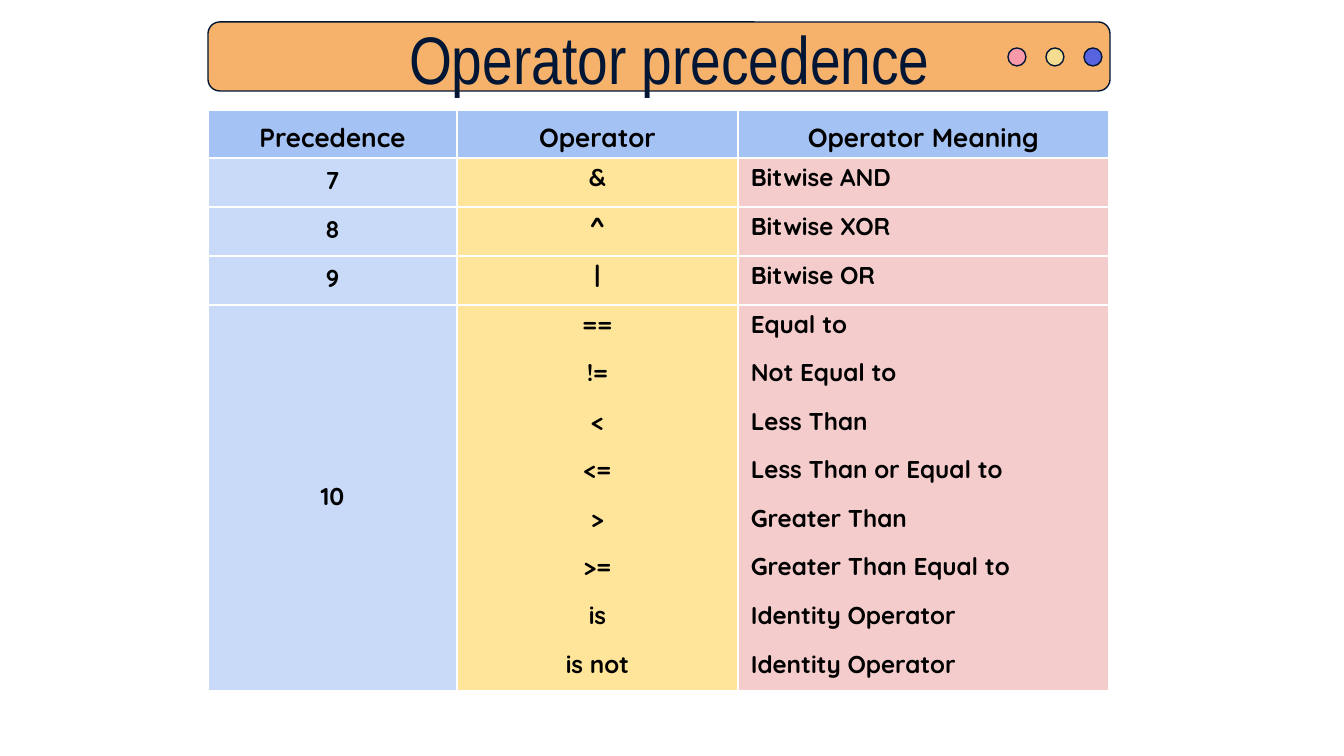
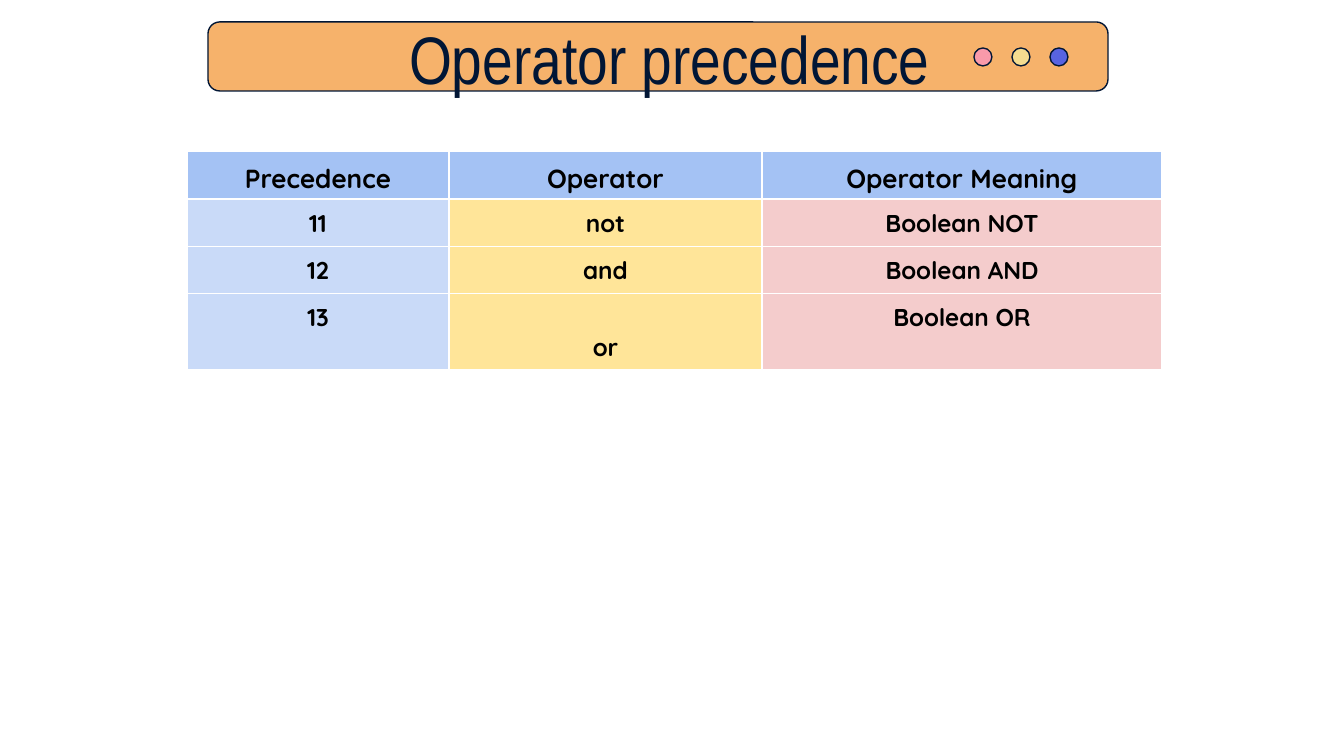
from lxml import etree
from pptx import Presentation
from pptx import util as u
from pptx.dml.color import RGBColor
from pptx.enum import shapes, text
from pptx.oxml import ns

SCALE = u.Inches(10) / 1344
NAVY = RGBColor(0x01, 0x16, 0x35)
BLACK = RGBColor(0x00, 0x00, 0x00)
WHITE = RGBColor(0xFF, 0xFF, 0xFF)
ORANGE = RGBColor(0xF6, 0xB2, 0x6B)
DOTS = (RGBColor(0xF9, 0x9A, 0xAA), RGBColor(0xF4, 0xDC, 0x90),
        RGBColor(0x58, 0x63, 0xE0))
HEAD = RGBColor(0xA4, 0xC2, 0xF4)
COLUMNS = (RGBColor(0xC9, 0xDA, 0xF8), RGBColor(0xFF, 0xE5, 0x99),
           RGBColor(0xF4, 0xCC, 0xCC))

TITLE = "Operator precedence"
LABELS = ("Precedence", "Operator", "Operator Meaning")
TITLE_FONT = {"name": "Arial Narrow", "size": u.Pt(36)}
HEAD_FONT = {"name": "Quicksand", "size": u.Pt(14), "bold": True}
BODY_FONT = {**HEAD_FONT, "size": u.Pt(13)}
CENTER, JUSTIFY = text.PP_ALIGN.CENTER, text.PP_ALIGN.JUSTIFY
TOP, MIDDLE = text.MSO_ANCHOR.TOP, text.MSO_ANCHOR.MIDDLE
SIDES = ("left", "top", "right", "bottom")

BITWISE = (
    ("7", "&", "Bitwise AND"),
    ("8", "^", "Bitwise XOR"),
    ("9", "|", "Bitwise OR"),
    ("10", "==\n!=\n<\n<=\n>\n>=\nis\nis not",
     "Equal to\nNot Equal to\nLess Than\nLess Than or Equal to\n"
     "Greater Than\nGreater Than Equal to\n"
     "Identity Operator\nIdentity Operator"),
)
BOOLEAN = (
    ("11", "not", "Boolean NOT"),
    ("12", "and", "Boolean AND"),
    ("13", "or", "Boolean OR"),
)


def px(n):
    return u.Emu(round(n * SCALE))


def style(item, **values):
    for name, value in values.items():
        setattr(item, name, value)


def write(frame, words, font, color, align, space=1.0):
    """Fill a text frame with one paragraph a line, a blank line's gap apart."""
    for i, line in enumerate(words.split("\n")):
        par = frame.add_paragraph() if i else frame.paragraphs[0]
        style(par, alignment=align, line_spacing=space)
        if i:
            par.space_before = font["size"]
        run = par.add_run()
        run.text = line
        style(run.font, **font)
        run.font.color.rgb = color


def outline(parent, kind, box, fill):
    """Add a filled preset shape with the thin navy line."""
    shape = parent.add_shape(kind, *map(px, box))
    shape.shadow.inherit = False
    shape.fill.solid()
    shape.fill.fore_color.rgb = fill
    shape.line.color.rgb = NAVY
    shape.line.width = u.Pt(0.75)
    return shape


def banner(slide, box, inset):
    """Draw the title bar, its three dots from inset on, and the title."""
    x, y, _, _ = box
    bar = outline(slide.shapes, shapes.MSO_SHAPE.ROUNDED_RECTANGLE,
                  box, ORANGE)
    bar.adjustments[0] = 0.17
    group = slide.shapes.add_group_shape()
    for i, color in enumerate(DOTS):
        outline(group.shapes, shapes.MSO_SHAPE.OVAL,
                (x + inset + 38 * i, y + 26, 18, 18), color)
    frame = slide.shapes.add_textbox(
        *map(px, (x + 154, y - 7, 615, 85))).text_frame
    style(frame, word_wrap=True, vertical_anchor=MIDDLE,
          **{f"margin_{side}": 0 for side in SIDES})
    write(frame, TITLE, TITLE_FONT, NAVY, CENTER)


def border(cell):
    props = cell._tc.get_or_add_tcPr()
    for i, side in enumerate("LRTB"):
        line = etree.Element(ns.qn(f"a:ln{side}"), w=str(u.Pt(0.75)))
        fill = etree.SubElement(line, ns.qn("a:solidFill"))
        etree.SubElement(fill, ns.qn("a:srgbClr"), val=str(WHITE))
        props.insert(i, line)


def paint(cell, fill, anchor, across, down):
    style(cell, vertical_anchor=anchor, margin_left=px(across),
          margin_right=px(across), margin_top=px(down), margin_bottom=px(down))
    cell.fill.solid()
    cell.fill.fore_color.rgb = fill
    border(cell)


def grid(slide, spot, widths, heights, rows, looks):
    """Build the table; looks holds anchor, alignment, spacing by column."""
    size = sum(widths), sum(heights)
    table = slide.shapes.add_table(
        len(heights), len(widths), *map(px, (*spot, *size))).table
    table.horz_banding = False
    for col, width in zip(table.columns, widths):
        col.width = px(width)
    for row, height in zip(table.rows, heights):
        row.height = px(height)
    for c, label in enumerate(LABELS):
        cell = table.cell(0, c)
        paint(cell, HEAD, MIDDLE, 12, 6)
        write(cell.text_frame, label, HEAD_FONT, BLACK, CENTER, 1.15)
        anchor, align, space = looks[c]
        for r, row in enumerate(rows, 1):
            cell = table.cell(r, c)
            paint(cell, COLUMNS[c], anchor, 13, 9)
            write(cell.text_frame, row[c], BODY_FONT, BLACK, align, space)
    return table


def main():
    deck = Presentation()
    style(deck, slide_width=px(1344), slide_height=px(756))
    first, second = (deck.slides.add_slide(deck.slide_layouts[6])
                     for _ in range(2))

    banner(first, (208, 22, 902, 69), 800)
    grid(first, (208, 110), (249, 281, 371), (44, 49, 49, 49, 386), BITWISE,
         ((MIDDLE, CENTER, 0.8), (TOP, CENTER, 0.8), (TOP, JUSTIFY, 0.8)))

    banner(second, (208, 22, 900, 69), 766)
    table = grid(second, (187, 151), (262, 313, 400), (42,) * 4, BOOLEAN,
                 ((TOP, CENTER, 1.0),) * 3)
    table.cell(3, 1).text_frame.paragraphs[0].line_spacing = 2.0

    deck.save("out.pptx")


if __name__ == "__main__":
    main()
